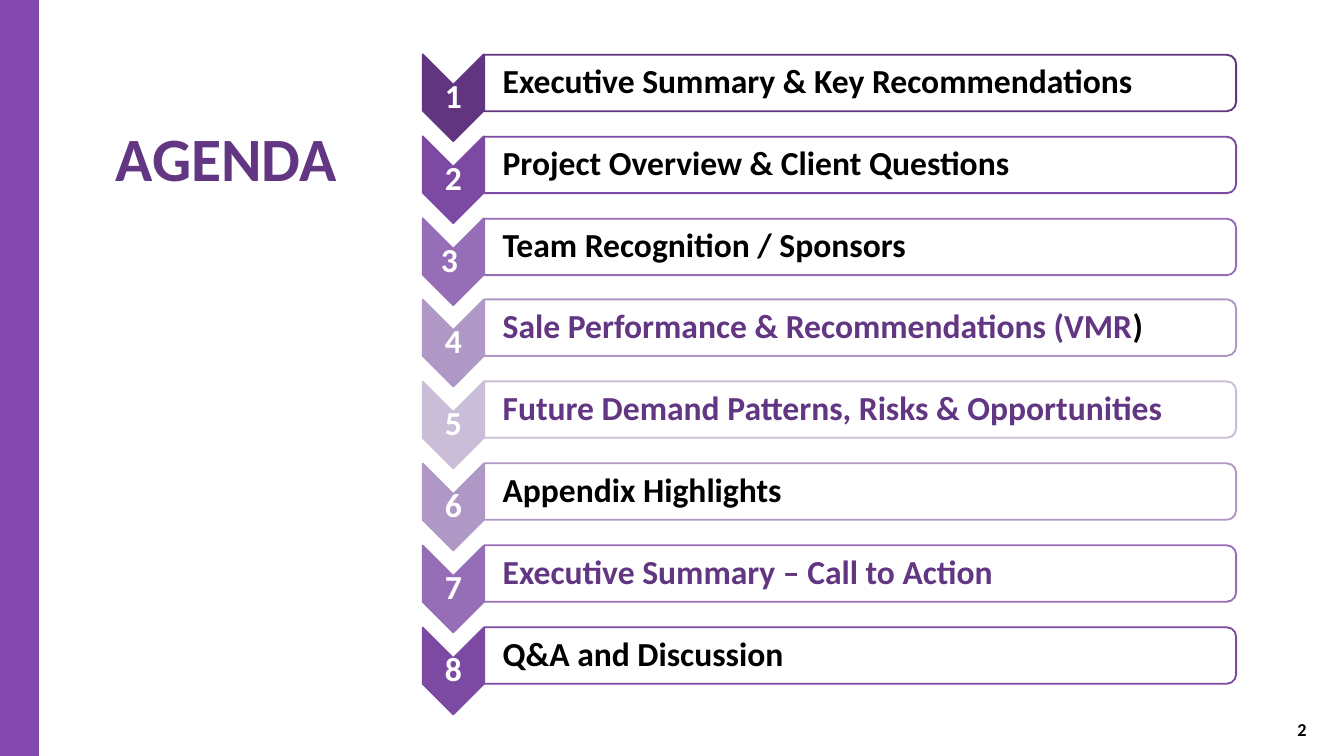
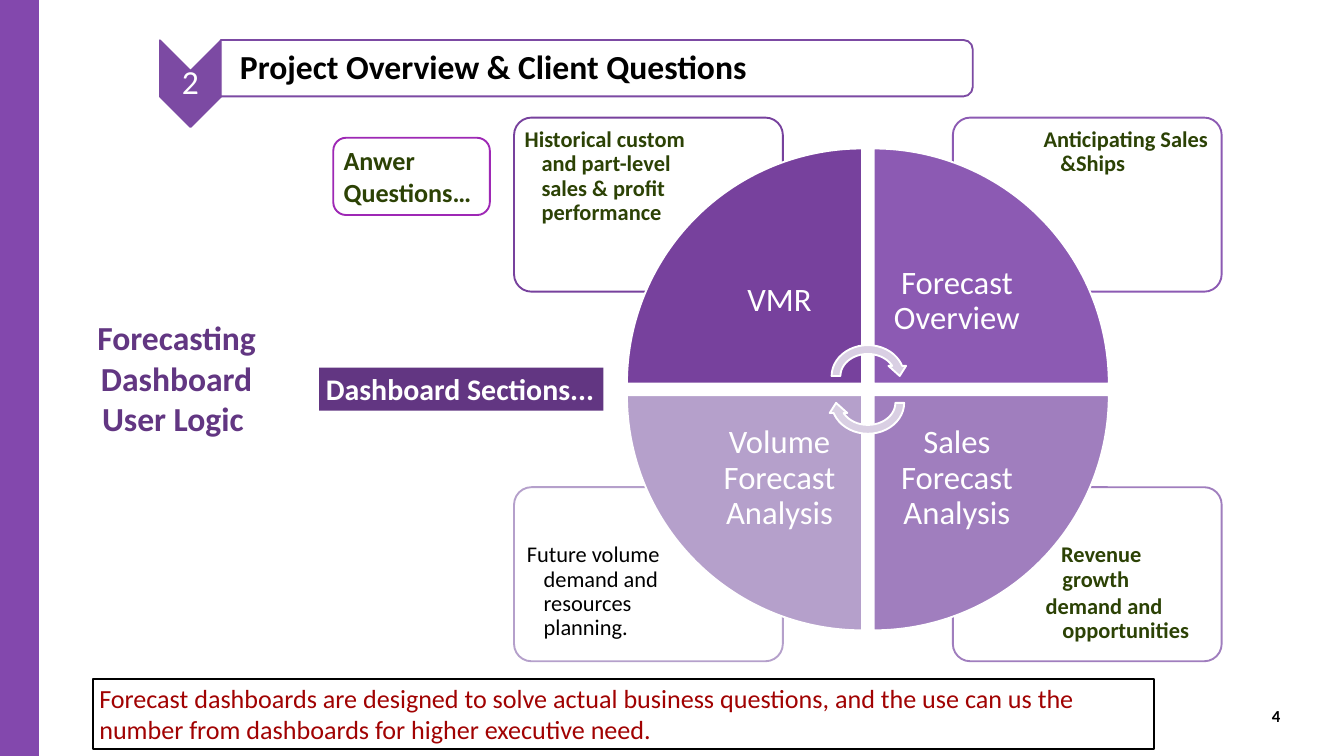
from pptx import Presentation
from pptx import util as u
from pptx.dml.color import RGBColor
from pptx.enum import shapes, text
from pptx.oxml import parse_xml
from pptx.oxml.ns import nsdecls, qn

PX = 9144  # EMU in one px: 100 px to the inch
FONT = "Calibri"
WHITE, BLACK = "FFFFFF", "000000"
PURPLE, SIDEBAR, GREEN, RED = "623682", "8348AD", "2C4205", "A10202"
SHADES = ["613580", "7C4AA3", "956EB7", "AF97C6", "CABDD8"]
LEFT, CENTER, RIGHT = text.PP_ALIGN.LEFT, text.PP_ALIGN.CENTER, text.PP_ALIGN.RIGHT
TOP, MIDDLE = text.MSO_ANCHOR.TOP, text.MSO_ANCHOR.MIDDLE
SHAPE = shapes.MSO_SHAPE

OVERVIEW = "Project Overview & Client Questions"
AGENDA = [
    ("1", [("Executive Summary & Key Recommendations", BLACK)]),
    ("2", [(OVERVIEW, BLACK)]),
    ("3 ", [("Team Recognition / Sponsors", BLACK)]),
    ("4", [("Sale Performance & Recommendations (VMR", PURPLE), (")", BLACK)]),
    ("5", [("Future Demand Patterns, Risks & Opportunities", PURPLE)]),
    ("6", [("Appendix Highlights", BLACK)]),
    ("7", [("Executive Summary – Call to Action", PURPLE)]),
    ("8", [("Q&A and Discussion", BLACK)]),
]

# column, row, rotation, colour, wedge label, note paragraphs, note format
QUADRANTS = [
    (0, 0, 0, "77419D", "VMR",
     ["Historical custom and part-level sales & profit performance"], {}),
    (1, 0, 90, "8C5AB3", "Forecast Overview", ["Anticipating Sales &Ships"], {}),
    (1, 1, 180, "A07EBE", "Sales Forecast Analysis",
     ["Revenue growth", "demand and opportunities"], {"hangs": [2, 25]}),
    (0, 1, 270, "B5A0CB", "Volume Forecast Analysis",
     ["Future volume demand and resources planning."],
     {"color": BLACK, "bold": False}),
]


def px(n):
    return u.Emu(n * PX)


def rgb(color):
    return RGBColor.from_string(color)


def write(sp, paras, size, color, bold=False, align=LEFT, anchor=TOP,
          insets=(10, 5), spacing=None, after=0, indent=0, hangs=None, wrap=True):
    """Fill a shape with paragraphs; each is a string or a list of (text, colour)."""
    tf = sp.text_frame
    tf.word_wrap = wrap
    tf.vertical_anchor = anchor
    tf.margin_left = px(insets[0])
    tf.margin_right = px(insets[-1] if len(insets) == 3 else insets[0])
    tf.margin_top = tf.margin_bottom = px(insets[1])
    for i, para in enumerate([paras] if isinstance(paras, str) else paras):
        p = tf.paragraphs[0] if i == 0 else tf.add_paragraph()
        p.alignment = align
        if spacing:
            p.line_spacing = spacing
        if after:
            p.space_after = u.Pt(after)
        if indent:
            hang = hangs[i] if hangs else indent
            pPr = p._p.get_or_add_pPr()
            pPr.set("marL", str(px(indent)))
            pPr.set("indent", str(-px(hang)))
        for words, shade in [(para, color)] if isinstance(para, str) else para:
            r = p.add_run()
            r.text = words
            r.font.name, r.font.size, r.font.bold = FONT, u.Pt(size), bold
            r.font.color.rgb = rgb(shade)


def label(slide, x, y, w, h, paras, **fmt):
    sp = slide.shapes.add_textbox(px(x), px(y), px(w), px(h))
    write(sp, paras, **fmt)
    return sp


def shape(slide, kind, x, y, w, h, fill=None, line=None, width=2, rotation=0, alpha=None):
    """Draw a preset shape; the box is the one seen after any quarter turn."""
    if rotation in (90, 270):
        x, y, w, h = x + (w - h) / 2, y + (h - w) / 2, h, w
    sp = slide.shapes.add_shape(kind, *(px(round(n)) for n in (x, y, w, h)))
    sp.shadow.inherit = False
    sp.rotation = rotation
    if fill:
        sp.fill.solid()
        sp.fill.fore_color.rgb = rgb(fill)
        if alpha:
            clr = sp._element.spPr.find(qn("a:solidFill"))[0]
            clr.append(parse_xml(f'<a:alpha {nsdecls("a")} val="{alpha * 1000}"/>'))
    else:
        sp.fill.background()
    if line:
        sp.line.color.rgb = rgb(line)
        sp.line.width = u.Pt(width)
    else:
        sp.line.fill.background()
    return sp


def new_slide(prs):
    slide = prs.slides.add_slide(prs.slide_layouts[6])
    shape(slide, SHAPE.RECTANGLE, -23, 0, 81, 1125, fill=SIDEBAR)
    return slide


def page_number(slide, x, y, number, size):
    label(slide, x, y, 35, 40, number, size=size, color=BLACK, bold=True, align=RIGHT)


def agenda_row(slide, x, y, number, title, color, bold=True):
    """Numbered chevron followed by an outlined title band."""
    shape(slide, SHAPE.CHEVRON, x, y, 91, 129, fill=color, line=color, rotation=90)
    label(slide, x, y + 45, 91, 39, number, size=36, color=WHITE, bold=bold,
          align=CENTER, anchor=MIDDLE, insets=(3, 3), spacing=0.9)
    shape(slide, SHAPE.ROUND_2_SAME_RECTANGLE, x + 91, y, 1119, 84,
          fill=WHITE, line=color, rotation=90, alpha=90)
    label(slide, x + 91, y + 4, 1115, 76, [title], size=36, color=BLACK, bold=True,
          anchor=MIDDLE, insets=(28, 3, 3), spacing=0.9, indent=31)


def note(slide, col, row, color, paras, fmt):
    """Outlined corner box with its hanging text."""
    sp = shape(slide, SHAPE.ROUNDED_RECTANGLE, 765 + 653 * col, 175 + 550 * row,
               400, 259, fill=WHITE, line=color, alpha=90)
    sp.adjustments[0] = 0.1
    inset = 13 if row else 10
    style = {"size": 24, "color": GREEN, "bold": True, "spacing": 0.9, "after": 3.6,
             "indent": 25, "insets": (inset, inset)}
    label(slide, 771 + 772 * col, 181 + 615 * row, 268, 183, paras, **{**style, **fmt})


def wedge(slide, col, row, rotation, color, name):
    shape(slide, SHAPE.PIE_WEDGE, 933 + 367 * col, 221 + 367 * row, 350, 350,
          fill=color, line=WHITE, rotation=rotation)
    label(slide, 1036 + 264 * col, 324 + 264 * row, 248, 248, name, size=35,
          color=WHITE, align=CENTER, anchor=MIDDLE, insets=(27, 27), spacing=0.9)


def agenda_slide(prs):
    slide = new_slide(prs)
    page_number(slide, 1919, 1064, "2", 19.5)
    label(slide, 162, 173, 368, 110, "AGENDA", size=66, color=PURPLE, bold=True)
    # Shades lighten to the fifth row, then darken again
    for i, (number, title) in enumerate(AGENDA):
        agenda_row(slide, 629, 81 + round(121.8 * i), number, title,
                   SHADES[4 - abs(4 - i)])


def overview_slide(prs):
    slide = new_slide(prs)

    # Side captions and takeaway
    label(slide, 103, 467, 320, 192, "Forecasting Dashboard User Logic ",
          size=36, color=PURPLE, bold=True, align=CENTER)
    sp = shape(slide, SHAPE.RECTANGLE, 138, 1010, 1580, 104, line=BLACK, width=2.25)
    write(sp, "Forecast dashboards are designed to solve actual business questions, "
              "and the use can us the number from dashboards for higher executive need.",
          size=28, color=RED)
    sp = shape(slide, SHAPE.RECTANGLE, 475, 547, 423, 64, fill=PURPLE)
    write(sp, "Dashboard Sections...", size=32, color=WHITE, bold=True, wrap=False)
    sp = shape(slide, SHAPE.ROUNDED_RECTANGLE, 496, 205, 233, 115,
               fill=WHITE, line="9E28B5")
    write(sp, "Anwer Questions…", size=28, color=GREEN, bold=True)
    page_number(slide, 1880, 1046, "4", 18)

    # Cycle matrix: corner notes lie behind the wedges
    for col, row, _, color, _, paras, fmt in QUADRANTS:
        note(slide, col, row, color, paras, fmt)
    for col, row, rotation, color, name, _, _ in QUADRANTS:
        wedge(slide, col, row, rotation, color, name)
    for y, rotation in ((507, 0), (547, 180)):
        shape(slide, SHAPE.CIRCULAR_ARROW, 1231, y, 121, 105,
              fill="D9CFE3", line=WHITE, rotation=rotation)

    # Section heading
    agenda_row(slide, 238, 60, "2", [(OVERVIEW, BLACK)], SHADES[1], bold=False)


def main():
    prs = Presentation()
    prs.slide_width, prs.slide_height = px(2000), px(1125)
    agenda_slide(prs)
    overview_slide(prs)
    prs.save("out.pptx")


if __name__ == "__main__":
    main()
